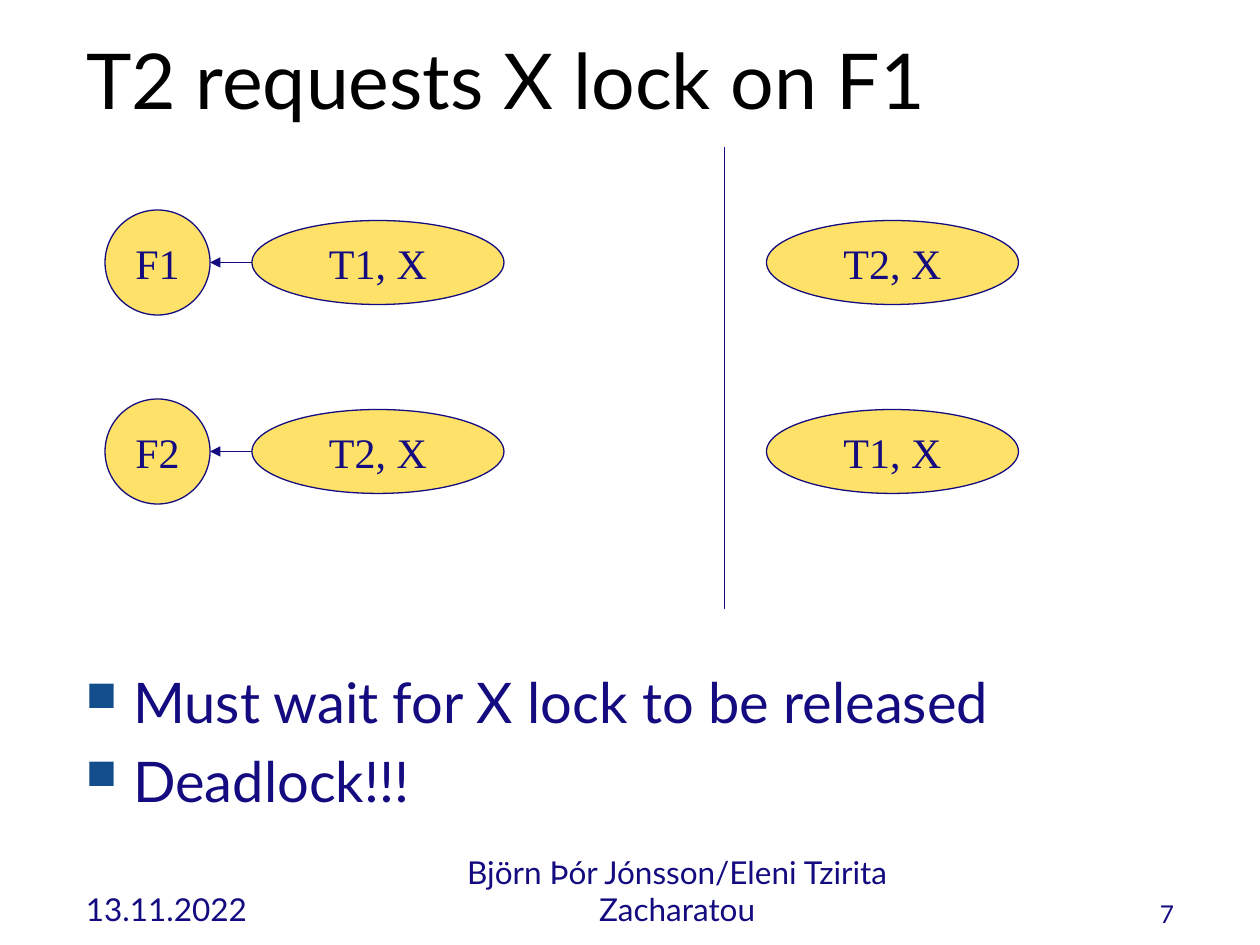
from typing import NamedTuple

from lxml.etree import SubElement
from pptx import Presentation
from pptx.dml.color import RGBColor
from pptx.enum.shapes import MSO_CONNECTOR as Connector, MSO_SHAPE as Shape
from pptx.enum.text import MSO_ANCHOR as Anchor, PP_ALIGN as Align
from pptx.oxml.ns import qn
from pptx.util import Pt

NAVY, YELLOW, BLUE, BLACK = "130B7F", "FEE168", "114E8B", "000000"
SANS, SERIF = "Lato", "Times New Roman"
MARGIN = 42
FILE_LEFT, FILE_SIZE = 60, 60
HOLDER_LEFT, WAITER_LEFT = 144, 438
LOCK_WIDTH, LOCK_HEIGHT = 144, 48
FOOTER_TOP, FOOTER_HEIGHT = 498, 36


class LockRow(NamedTuple):
    file: str
    holder: str
    waiter: str
    middle: float


class Footer(NamedTuple):
    text: str
    left: float
    width: float
    size: float
    align: Align


LOCK_ROWS = [
    LockRow("F1", "T1, X", "T2, X", 150),
    LockRow("F2", "T2, X", "T1, X", 258),
]
FOOTERS = [
    Footer("13.11.2022", MARGIN, 150, 18, Align.LEFT),
    Footer("Björn Þór Jónsson/Eleni Tzirita Zacharatou", 246, 282, 18, Align.CENTER),
    Footer("7", 528, 150, 14, Align.RIGHT),
]
BULLETS = ["Must wait for X lock to be released", "Deadlock!!!"]


def color(value: str) -> RGBColor:
    return RGBColor.from_string(value)


def format_text(frame, size: float, font: str, ink: str, align: Align) -> None:
    for para in frame.paragraphs:
        para.alignment = align
        for span in para.runs:
            span.font.size = Pt(size)
            span.font.name = font
            span.font.color.rgb = color(ink)


def add_text_box(left: float, top: float, width: float, height: float, text: str):
    box = slide.shapes.add_textbox(Pt(left), Pt(top), Pt(width), Pt(height))
    box.text_frame.word_wrap = True
    box.text_frame.text = text
    return box.text_frame


def add_ellipse(left: float, middle: float, width: float, height: float, text: str) -> None:
    ellipse = slide.shapes.add_shape(
        Shape.OVAL, Pt(left), Pt(middle - height / 2), Pt(width), Pt(height))
    ellipse.shadow.inherit = False
    ellipse.fill.solid()
    ellipse.fill.fore_color.rgb = color(YELLOW)
    ellipse.line.color.rgb = color(NAVY)
    ellipse.line.width = Pt(0.75)
    frame = ellipse.text_frame
    frame.word_wrap = False
    frame.vertical_anchor = Anchor.MIDDLE
    frame.text = text
    format_text(frame, 24, SERIF, NAVY, Align.CENTER)


def add_line(x1: float, y1: float, x2: float, y2: float, arrow: bool = False) -> None:
    line = slide.shapes.add_connector(Connector.STRAIGHT, Pt(x1), Pt(y1), Pt(x2), Pt(y2))
    line.line.color.rgb = color(NAVY)
    line.line.width = Pt(0.75)
    if arrow:
        SubElement(line.line._get_or_add_ln(), qn("a:tailEnd"), type="triangle")
    SubElement(line._element.spPr, qn("a:effectLst"))


def add_bullet(para) -> None:
    para.space_before = Pt(6.4)
    properties = para._p.get_or_add_pPr()
    properties.set("marL", str(Pt(27)))
    properties.set("indent", str(Pt(-27)))
    bullet_color = SubElement(properties, qn("a:buClr"))
    SubElement(bullet_color, qn("a:srgbClr"), val=BLUE)
    SubElement(properties, qn("a:buSzPct"), val="75000")
    SubElement(properties, qn("a:buChar"), char="■")


deck = Presentation()
deck.slide_width, deck.slide_height = Pt(720), Pt(540)
slide = deck.slides.add_slide(deck.slide_layouts[5])

# Title
title = slide.shapes.title
title.left, title.top, title.width, title.height = Pt(MARGIN), Pt(0), Pt(522), Pt(90)
title.text_frame.text = "T2 requests X lock on F1"
title.text_frame.vertical_anchor = Anchor.MIDDLE
format_text(title.text_frame, 44, SANS, BLACK, Align.LEFT)

# Lock queues: file, holder and waiting transaction
add_line(414, 84, 414, 348)
for row in LOCK_ROWS:
    add_line(HOLDER_LEFT + 18, row.middle, FILE_LEFT + FILE_SIZE, row.middle, arrow=True)
    add_ellipse(FILE_LEFT, row.middle, FILE_SIZE, FILE_SIZE, row.file)
    add_ellipse(HOLDER_LEFT, row.middle, LOCK_WIDTH, LOCK_HEIGHT, row.holder)
    add_ellipse(WAITER_LEFT, row.middle, LOCK_WIDTH, LOCK_HEIGHT, row.waiter)

# Bullets
body = add_text_box(MARGIN, 378, 636, 114, "\n".join(BULLETS))
format_text(body, 32, SANS, NAVY, Align.LEFT)
for bullet in body.paragraphs:
    add_bullet(bullet)

# Footer
for footer in FOOTERS:
    footer_frame = add_text_box(
        footer.left, FOOTER_TOP, footer.width, FOOTER_HEIGHT, footer.text)
    footer_frame.vertical_anchor = Anchor.BOTTOM
    format_text(footer_frame, footer.size, SANS, NAVY, footer.align)

deck.save("out.pptx")
